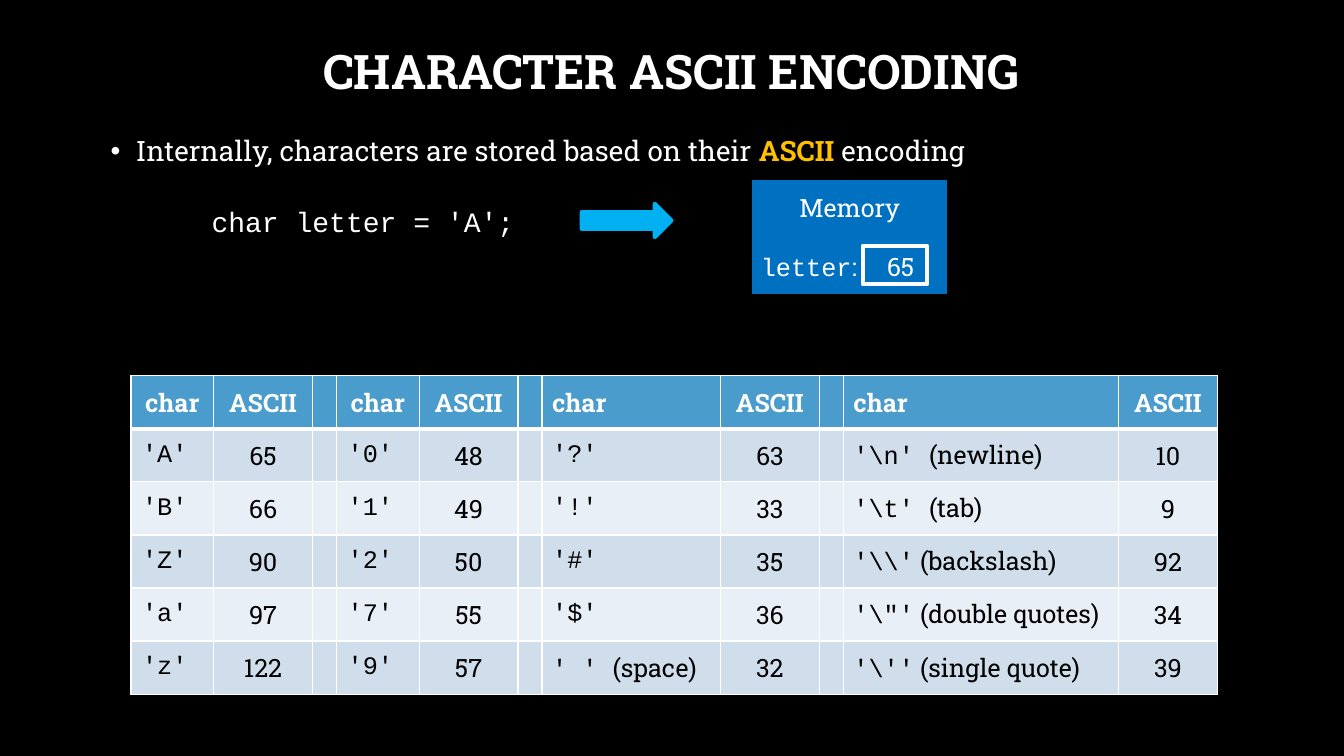
import dataclasses
from typing import Any, Optional

import lxml.etree
import pptx
import pptx.dml.color
import pptx.enum.shapes
import pptx.enum.text
import pptx.oxml.ns
import pptx.util

Pt = pptx.util.Pt
qn = pptx.oxml.ns.qn
ALIGN = pptx.enum.text.PP_ALIGN
MIDDLE = pptx.enum.text.MSO_ANCHOR.MIDDLE
SHAPE = pptx.enum.shapes.MSO_SHAPE

SERIF = "Roboto Slab"
MONO = "Courier New"
WHITE = "FFFFFF"
BLACK = "000000"
HEADER_FILL = "4A9CCC"
BAND_FILLS = ("D0DEEC", "E9EFF6")
CHAR, CODE, GAP = 59.04, 70.56, 16.56
COLUMN_WIDTHS = (CHAR, CODE, GAP, CHAR, CODE, GAP, 127.44, CODE, GAP, 196.56, CODE)
ROW_HEIGHT = 37.9


@dataclasses.dataclass
class Box:
    left: float
    top: float
    width: float
    height: float

    def lengths(self) -> tuple:
        return Pt(self.left), Pt(self.top), Pt(self.width), Pt(self.height)


@dataclasses.dataclass
class Entry:
    """A character, its ASCII code and an optional description."""
    char: str
    code: str
    note: str = ""


@dataclasses.dataclass
class Group:
    """A pair of table columns, with a narrow gap after it."""
    centred: bool
    entries: list[Entry]


GROUPS = [
    Group(True, [Entry("'A' ", "65"), Entry("'B' ", "66"), Entry("'Z' ", "90"),
                 Entry("'a' ", "97"), Entry("'z' ", "122")]),
    Group(True, [Entry("'0' ", "48"), Entry("'1' ", "49"), Entry("'2' ", "50"),
                 Entry("'7' ", "55"), Entry("'9' ", "57")]),
    Group(False, [Entry("'?'", "63"), Entry("'!'", "33"), Entry("'#'", "35"),
                  Entry("'$'", "36"), Entry("' ' ", "32", "(space)")]),
    Group(False, [Entry(r"'\n' ", "10", "(newline)"), Entry(r"'\t' ", "9", "(tab)"),
                  Entry(r"'\\'", "92", " (backslash)"),
                  Entry(r"'\"'", "34", " (double quotes)"),
                  Entry(r"'\''", "39", " (single quote)")]),
]


def colour(value: str) -> pptx.dml.color.RGBColor:
    return pptx.dml.color.RGBColor.from_string(value)


def paint(fill: Any, value: str) -> None:
    fill.solid()
    fill.fore_color.rgb = colour(value)


def add_span(para: Any, text: str, *, size: float = 18, font: str = SERIF,
             ink: str = WHITE, bold: bool = False) -> None:
    span = para.add_run()
    span.text = text
    span.font.size = Pt(size)
    span.font.name = font
    span.font.bold = bold
    span.font.color.rgb = colour(ink)


def add_text_box(page: Any, box: Box) -> Any:
    frame = page.shapes.add_textbox(*box.lengths()).text_frame
    frame.word_wrap = True
    return frame


def add_shape(page: Any, kind: Any, box: Box, *, fill: Optional[str],
              line: str, weight: float) -> Any:
    shape = page.shapes.add_shape(kind, *box.lengths())
    shape.shadow.inherit = False
    if fill:
        paint(shape.fill, fill)
    else:
        shape.fill.background()
    shape.line.width = Pt(weight)
    paint(shape.line.fill, line)
    lxml.etree.SubElement(shape.line._get_or_add_ln(), qn("a:round"))
    return shape


def add_border(cell: Any, side: str, weight: float) -> None:
    properties = cell._tc.get_or_add_tcPr()
    edge = lxml.etree.SubElement(properties, qn(f"a:ln{side}"), w=str(Pt(weight)))
    solid = lxml.etree.SubElement(edge, qn("a:solidFill"))
    lxml.etree.SubElement(solid, qn("a:srgbClr"), val=WHITE)


def add_title(page: Any) -> None:
    frame = add_text_box(page, Box(72, 0.72, 815, 104.4))
    frame.vertical_anchor = MIDDLE
    para = frame.paragraphs[0]
    para.alignment = ALIGN.CENTER
    para.line_spacing = 0.9
    add_span(para, "CHARACTER ASCII ENCODING", size=34, bold=True)


def add_body(page: Any) -> None:
    frame = add_text_box(page, Box(72, 87.12, 815, 290.9))

    # Bulleted statement
    statement = frame.paragraphs[0]
    statement.line_spacing = 1.2
    statement.space_before = Pt(10)
    properties = statement._p.get_or_add_pPr()
    properties.set("marL", str(Pt(18)))
    properties.set("indent", str(Pt(-18)))
    lxml.etree.SubElement(properties, qn("a:buFont"), typeface="Arial")
    lxml.etree.SubElement(properties, qn("a:buChar"), char="•")
    add_span(statement, "Internally, characters are stored based on their ", size=20)
    add_span(statement, "ASCII", size=20, ink="FFC000", bold=True)
    add_span(statement, " encoding", size=20)

    # Indented line of code
    code = frame.add_paragraph()
    code.line_spacing = 1.2
    code.space_before = Pt(22)
    code._p.get_or_add_pPr().set("marL", str(Pt(72)))
    add_span(code, "char letter = 'A';", size=20, font=MONO)


def add_memory(page: Any) -> None:
    memory = add_shape(page, SHAPE.RECTANGLE, Box(536.4, 127.6, 141, 83.5),
                       fill="0070C0", line=BLACK, weight=1.5)
    frame = memory.text_frame
    frame.word_wrap = True
    frame.vertical_anchor = MIDDLE
    heading = frame.paragraphs[0]
    heading.alignment = ALIGN.CENTER
    add_span(heading, "Memory")

    # Variable name, then its value at a tab stop
    variable = frame.add_paragraph()
    variable.alignment = ALIGN.LEFT
    variable.space_before = Pt(20)
    stops = lxml.etree.SubElement(variable._p.get_or_add_pPr(), qn("a:tabLst"))
    lxml.etree.SubElement(stops, qn("a:tab"), pos=str(Pt(90)), algn="l")
    add_span(variable, "letter", font=MONO)
    add_span(variable, ":\t65")

    add_shape(page, SHAPE.RECTANGLE, Box(616.2, 175.6, 46.1, 27.4),
              fill=None, line=WHITE, weight=3)
    add_shape(page, SHAPE.RIGHT_ARROW, Box(415.5, 145.6, 64.1, 23.8),
              fill="00B0F0", line="00B0F0", weight=3)


def add_ascii_table(page: Any) -> None:
    rows = 1 + len(GROUPS[0].entries)
    box = Box(93.6, 268.4, sum(COLUMN_WIDTHS), rows * ROW_HEIGHT)
    table = page.shapes.add_table(rows, len(COLUMN_WIDTHS), *box.lengths()).table
    table.first_row = table.horz_banding = False
    for column, width in zip(table.columns, COLUMN_WIDTHS):
        column.width = Pt(width)

    # Cell borders and fills
    for row in range(rows):
        table.rows[row].height = Pt(ROW_HEIGHT)
        for cell in table.rows[row].cells:
            cell.vertical_anchor = MIDDLE
            for side in "LRTB":
                under_header = (row, side) in ((0, "B"), (1, "T"))
                add_border(cell, side, 3 if under_header else 1)
            paint(cell.fill, BAND_FILLS[(row - 1) % 2] if row else HEADER_FILL)

    # Characters and codes
    for index, group in enumerate(GROUPS):
        for row in range(rows):
            char, code = (table.cell(row, 3 * index + offset).text_frame.paragraphs[0]
                          for offset in (0, 1))
            char.alignment = ALIGN.CENTER if group.centred else ALIGN.LEFT
            code.alignment = ALIGN.CENTER
            if row == 0:
                add_span(char, "char", bold=True)
                add_span(code, "ASCII", bold=True)
                continue
            entry = group.entries[row - 1]
            add_span(char, entry.char, font=MONO, ink=BLACK)
            if entry.note:
                add_span(char, entry.note, ink=BLACK)
            add_span(code, entry.code, ink=BLACK)


def main() -> None:
    deck = pptx.Presentation()
    deck.slide_width, deck.slide_height = Pt(960), Pt(540)
    page = deck.slides.add_slide(deck.slide_layouts[6])
    paint(page.background.fill, BLACK)
    add_title(page)
    add_body(page)
    add_memory(page)
    add_ascii_table(page)
    deck.save("out.pptx")


if __name__ == "__main__":
    main()
